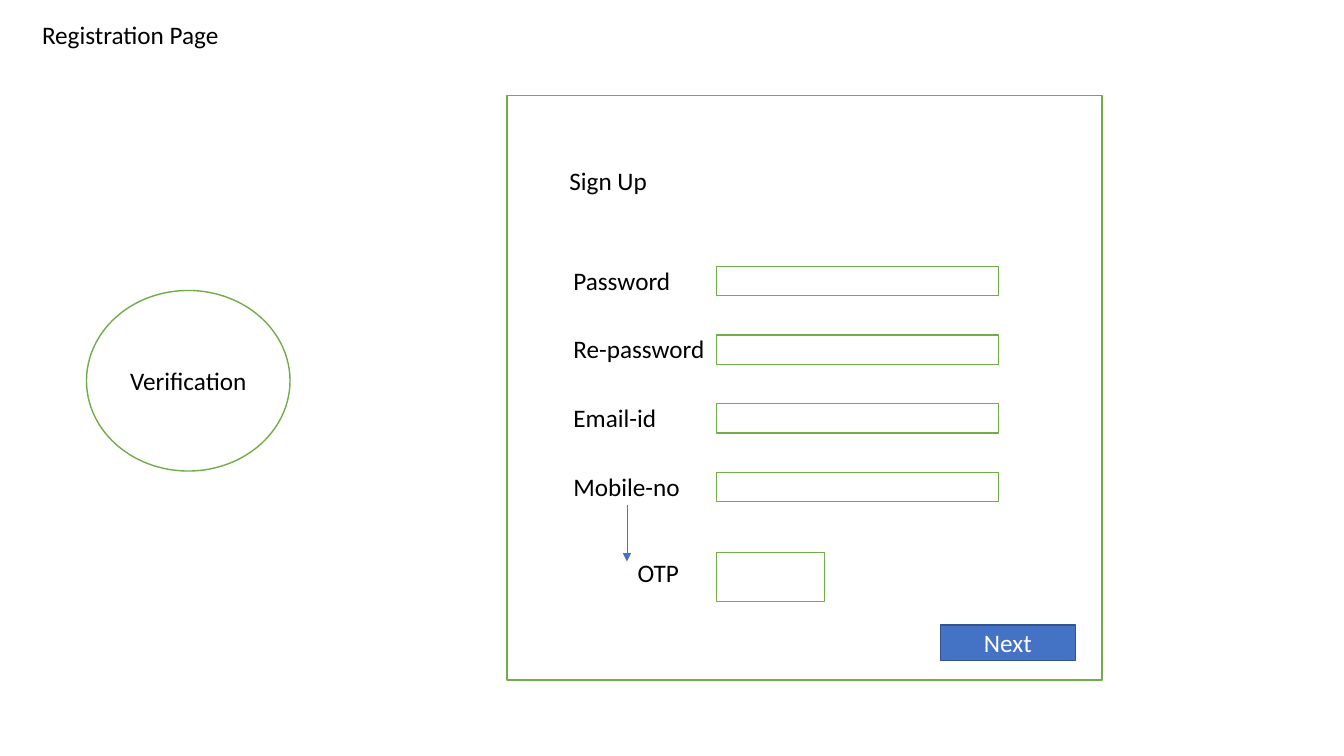
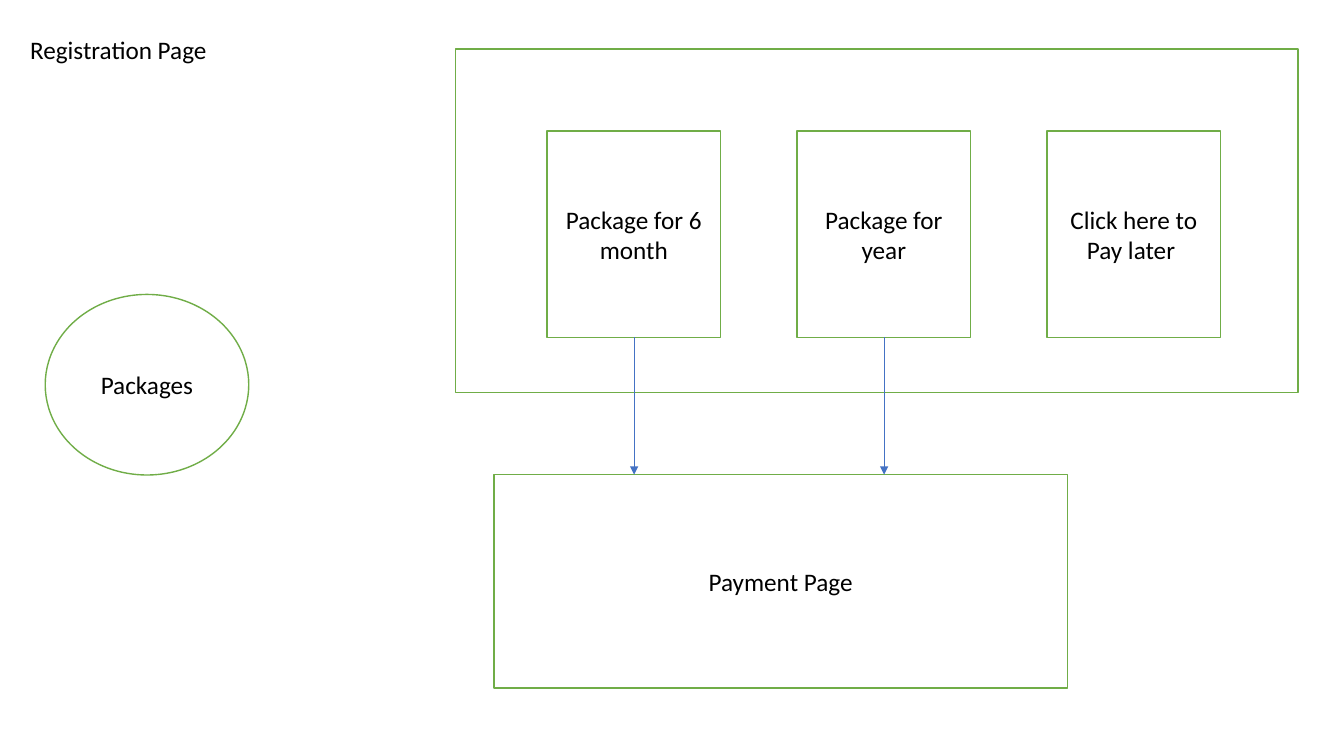
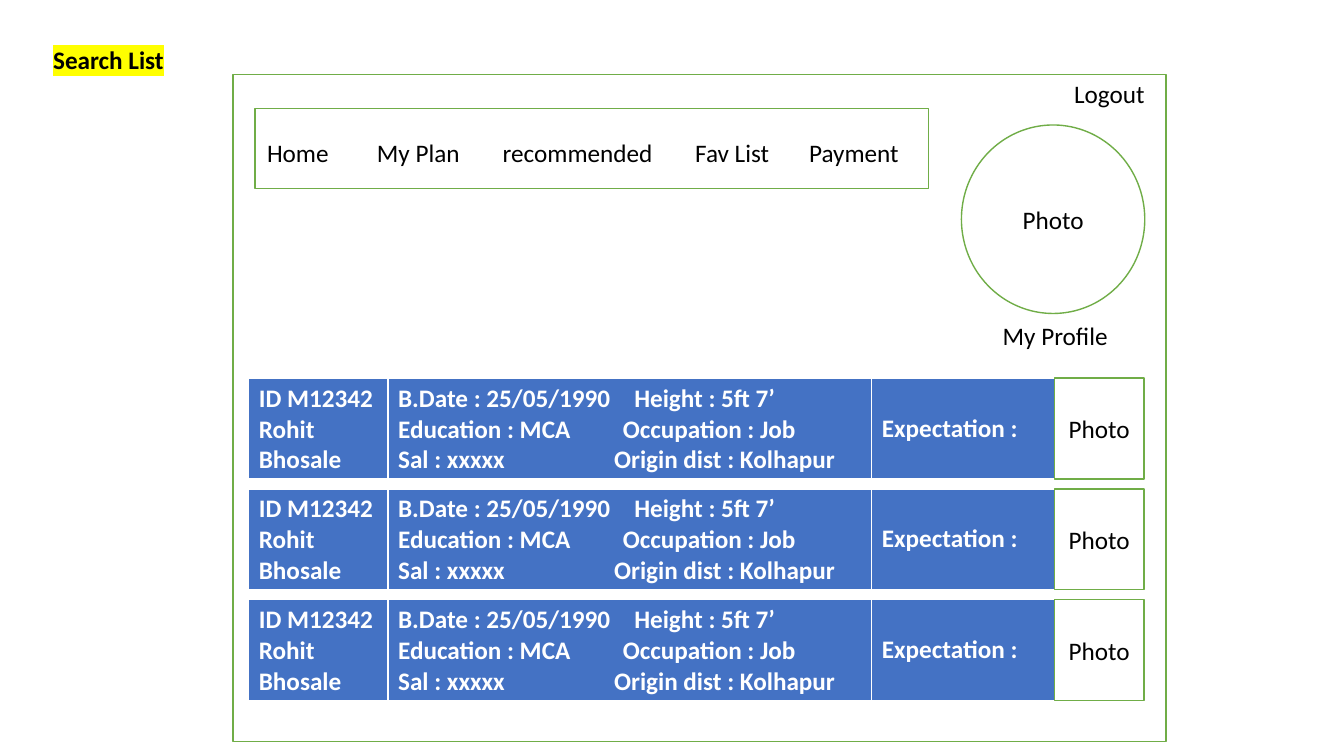
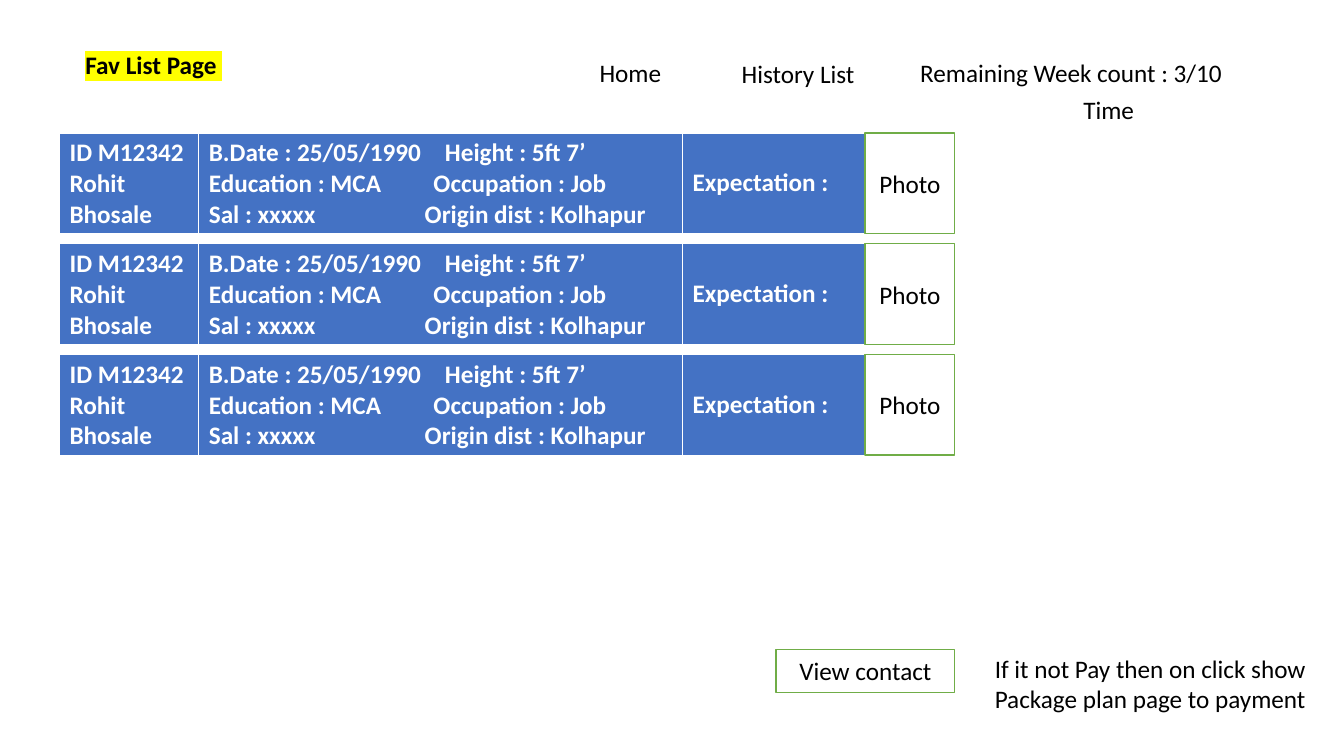
"""Build four wireframe slides for a member registration and search site."""
from lxml import etree
from pptx import Presentation
from pptx import util as u
from pptx.dml.color import RGBColor
from pptx.enum import shapes, text
from pptx.oxml import ns

COLORS = {"ink": "000000", "paper": "FFFFFF", "green": "70AD47",
          "blue": "4472C4", "navy": "325491", "yellow": "FFFF00"}
RECT = shapes.MSO_SHAPE.RECTANGLE
OVAL = shapes.MSO_SHAPE.OVAL
LINE_HEIGHT = 1.02


def write(frame, content, color="ink", bold=False, highlight=None, align="LEFT", tabs=()):
    """Fill a text frame, one paragraph per line of content."""
    for index, line in enumerate(content.split("\n")):
        paragraph = frame.paragraphs[0] if index == 0 else frame.add_paragraph()
        paragraph.alignment = getattr(text.PP_ALIGN, align)
        run = paragraph.add_run()
        run.text = line
        run.font.size = u.Pt(18)
        run.font.bold = bold
        run.font.color.rgb = RGBColor.from_string(COLORS[color])
        if highlight:
            marker = etree.Element(ns.qn("a:highlight"))
            etree.SubElement(marker, ns.qn("a:srgbClr"), val=COLORS[highlight])
            run.font.fill._xPr.find(ns.qn("a:solidFill")).addnext(marker)
        run.font.name = "Calibri"
        if tabs:
            stops = etree.SubElement(paragraph._p.get_or_add_pPr(), ns.qn("a:tabLst"))
            etree.SubElement(stops, ns.qn("a:tab"), pos=str(u.Cm(tabs[index])), algn="l")


def place(slide, box, content="", outline=None, fill="paper", line="green", **style):
    """Add an outlined shape, or a plain label when no outline is given."""
    lengths = [u.Cm(length) for length in box]
    if outline is None:
        label = slide.shapes.add_textbox(*lengths)
        label.text_frame.word_wrap = False
        label.text_frame.auto_size = text.MSO_AUTO_SIZE.SHAPE_TO_FIT_TEXT
        write(label.text_frame, content, **style)
        return
    panel = slide.shapes.add_shape(outline, *lengths)
    panel.shadow.inherit = False
    panel.fill.solid()
    panel.fill.fore_color.rgb = RGBColor.from_string(COLORS[fill])
    panel.line.color.rgb = RGBColor.from_string(COLORS[line])
    panel.line.width = u.Pt(1)
    if content:
        panel.text_frame.word_wrap = True
        panel.text_frame.vertical_anchor = text.MSO_ANCHOR.MIDDLE
        write(panel.text_frame, content, align="CENTER", **style)


deck = Presentation()
deck.slide_width, deck.slide_height = u.Cm(33.87), u.Cm(19.05)
sign_up, packages, search, favourites = [
    deck.slides.add_slide(deck.slide_layouts[6]) for _ in range(4)]

for slide, left, top, width, title, style in (
        (sign_up, 0.81, 0.36, 5, "Registration Page", {}),
        (packages, 0.51, 0.74, 5, "Registration Page", {}),
        (search, 1.09, 0.99, 3.33, "Search List", {"bold": True, "highlight": "yellow"}),
        (favourites, 1.9, 1.12, 3.99, "Fav List Page ", {"bold": True, "highlight": "yellow"})):
    place(slide, (left, top, width, LINE_HEIGHT), title, **style)

place(sign_up, (2.18, 7.32, 5.13, 4.55), "Verification", OVAL)
place(sign_up, (12.78, 2.41, 14.99, 14.73), outline=RECT)
place(sign_up, (14.1, 4.04, 2.64, LINE_HEIGHT), "Sign Up ")
for row, (field, width) in enumerate((("Password", 2.97), ("Re-password", 3.86),
                                      ("Email-id", 2.62), ("Mobile-no", 3.23))):
    field_top = 6.71 + 1.73 * row
    place(sign_up, (14.2, field_top - 0.16, width, LINE_HEIGHT), field)
    place(sign_up, (18.06, field_top, 7.11, 0.74), outline=RECT)
place(sign_up, (15.82, 13.92, 1.55, LINE_HEIGHT), "OTP")
place(sign_up, (18.06, 13.92, 2.72, 1.24), outline=RECT)
place(sign_up, (23.7, 15.75, 3.4, 0.89), "Next", RECT, fill="blue", line="navy", color="paper")

place(packages, (1.14, 7.42, 5.13, 4.55), "Packages", OVAL)
place(packages, (11.48, 1.24, 21.23, 8.66), outline=RECT)
for column, offer in enumerate(("Package for 6 month", "Package for year",
                                "Click here to Pay later ")):
    place(packages, (13.79 + 6.3 * column, 3.3, 4.37, 5.21), offer, RECT)
place(packages, (12.45, 11.96, 14.45, 5.38), "Payment Page", RECT)

for slide, x, start, end in ((sign_up, 15.8, 12.73, 14.15),
                             (packages, 15.98, 8.5, 11.96),
                             (packages, 22.28, 8.5, 11.96)):
    arrow = slide.shapes.add_connector(
        shapes.MSO_CONNECTOR.STRAIGHT, u.Cm(x), u.Cm(start), u.Cm(x), u.Cm(end))
    arrow.line.color.rgb = RGBColor.from_string(COLORS["blue"])
    arrow.line.width = u.Pt(0.5)
    etree.SubElement(arrow.line._get_or_add_ln(), ns.qn("a:tailEnd"), type="triangle")
    etree.SubElement(arrow._element.spPr, ns.qn("a:effectLst"))

place(search, (5.87, 1.88, 23.52, 16.81), outline=RECT)
place(search, (24.23, 3.15, 4.62, 4.75), "Photo", OVAL)
place(search, (6.43, 2.74, 16.97, 2.01), outline=RECT)
for left, width, menu_item in ((6.48, 2.24, "Home "), (9.25, 2.62, "My Plan"),
                               (12.42, 4.34, "recommended"), (17.27, 2.54, "Fav List "),
                               (20.14, 2.79, "Payment")):
    place(search, (left, 3.33, width, LINE_HEIGHT), menu_item)
place(search, (25.02, 7.95, 3.18, LINE_HEIGHT), "My Profile")
place(search, (26.82, 1.85, 2.31, LINE_HEIGHT), "Logout")

place(favourites, (14.86, 1.32, 2.08, LINE_HEIGHT), "Home")
place(favourites, (18.44, 1.35, 3.38, LINE_HEIGHT), "History List")
place(favourites, (22.94, 1.32, 8.2, LINE_HEIGHT), "Remaining Week count : 3/10")
place(favourites, (27.05, 2.26, 1.8, LINE_HEIGHT), "Time")
place(favourites, (19.56, 16.36, 4.5, 1.09), "View contact", RECT)
place(favourites, (24.82, 16.33, 8.61, 1.8),
      "If it not Pay then on click show \nPackage plan page to payment")

MEMBER = (
    (3.51, "ID M12342\nRohit Bhosale", ()),
    (12.19, "B.Date : 25/05/1990\tHeight : 5ft 7’\n"
            "Education : MCA\tOccupation : Job\n"
            "Sal : xxxxx\tOrigin dist : Kolhapur", (5.95, 5.66, 5.44)),
    (6.86, "Expectation :", ()),
)
CARD_WIDTH = sum(width for width, _, _ in MEMBER)
CARD_HEIGHT, CARD_PITCH, PHOTO_WIDTH = 2.54, 2.79, 2.26

for slide, left, first_top in ((search, 6.27, 9.53), (favourites, 1.5, 3.35)):
    for row in range(3):
        top = first_top + CARD_PITCH * row
        card = slide.shapes.add_table(
            1, len(MEMBER), u.Cm(left), u.Cm(top), u.Cm(CARD_WIDTH), u.Cm(CARD_HEIGHT)).table
        for column, (width, details, tabs) in enumerate(MEMBER):
            card.columns[column].width = u.Cm(width)
            cell = card.cell(0, column)
            cell.fill.solid()
            cell.fill.fore_color.rgb = RGBColor.from_string(COLORS["blue"])
            write(cell.text_frame, details, color="paper", bold=True, tabs=tabs)
        cell.vertical_anchor = text.MSO_ANCHOR.MIDDLE
        place(slide, (left + CARD_WIDTH - PHOTO_WIDTH, top, PHOTO_WIDTH, CARD_HEIGHT),
              "Photo", RECT)

deck.save("out.pptx")
